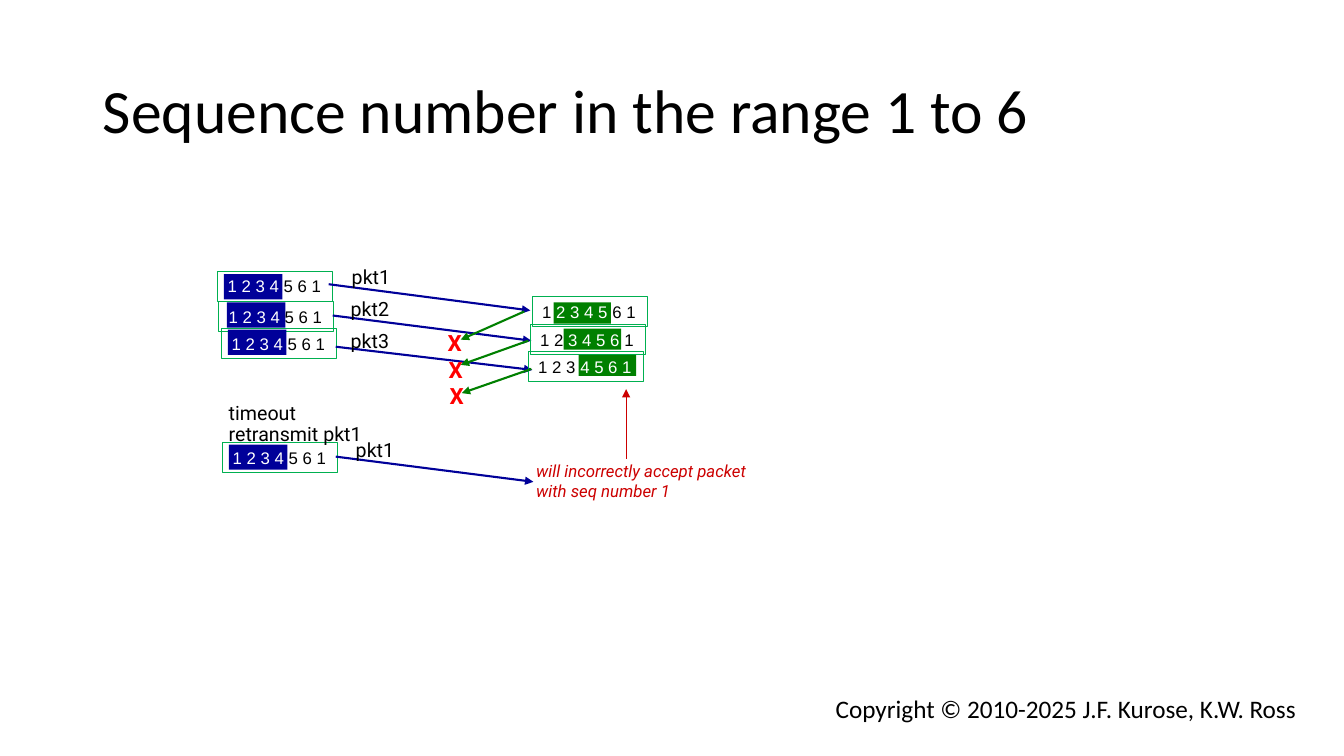
from lxml import etree
from pptx import Presentation, util as u
from pptx.dml import color
from pptx.enum import shapes, text
from pptx.oxml import ns

COLORS = {
    "black": "000000", "white": "FFFFFF", "sent": "000099", "expected": "008000",
    "frame": "00B050", "lost": "FF0000", "warning": "CC0000",
}


def rgb(name):
    return color.RGBColor.from_string(COLORS[name])


def write(paragraph, content, font="Roboto", size=14, ink="black", bold=False, italic=False):
    run = paragraph.add_run()
    run.text = content
    run.font.name, run.font.size = font, u.Pt(size)
    run.font.bold, run.font.italic = bold, italic
    run.font.color.rgb = rgb(ink)


class SequenceSlide:
    """Draws packet windows, arrows and labels on one slide."""

    def __init__(self, deck):
        self.slide = deck.slides.add_slide(deck.slide_layouts[5])

    def title(self, content, left, top, width, height):
        heading = self.slide.shapes.title
        heading.left, heading.top = u.Inches(left), u.Inches(top)
        heading.width, heading.height = u.Inches(width), u.Inches(height)
        frame = heading.text_frame
        frame.auto_size = text.MSO_AUTO_SIZE.NONE
        frame.vertical_anchor = text.MSO_ANCHOR.MIDDLE
        line = frame.paragraphs[0]
        line.alignment, line.line_spacing = text.PP_ALIGN.LEFT, 0.9
        write(line, content, font="Calibri", size=44)

    def label(self, lines, left, top, width, height, wrap=False, spacing=1.0, **style):
        box = self.slide.shapes.add_textbox(*map(u.Inches, (left, top, width, height)))
        frame = box.text_frame
        frame.word_wrap = wrap
        frame.auto_size = text.MSO_AUTO_SIZE.SHAPE_TO_FIT_TEXT
        for index, content in enumerate(lines):
            line = frame.add_paragraph() if index else frame.paragraphs[0]
            line.line_spacing = spacing
            write(line, content, **style)

    def rectangle(self, left, top, width, height, fill=None, outline=None):
        box = self.slide.shapes.add_shape(
            shapes.MSO_SHAPE.RECTANGLE, *map(u.Inches, (left, top, width, height)))
        box.shadow.inherit = False
        if fill:
            box.fill.solid()
            box.fill.fore_color.rgb = rgb(fill)
        else:
            box.fill.background()
        if outline:
            box.line.color.rgb = rgb(outline)
            box.line.width = u.Pt(0.75)
        else:
            box.line.fill.background()
        return box

    def window(self, left, top, bar, numbers, fill):
        self.rectangle(*bar, fill=fill)
        frame = self.rectangle(left, top, 1.14, 0.3, outline="frame").text_frame
        frame.word_wrap = False
        frame.auto_size = text.MSO_AUTO_SIZE.SHAPE_TO_FIT_TEXT
        frame.vertical_anchor = text.MSO_ANCHOR.TOP
        line = frame.paragraphs[0]
        line.alignment = text.PP_ALIGN.LEFT
        for content, ink in zip(numbers, ("black", "white", "black")):
            if content:
                write(line, content, font="Arial", size=12, ink=ink)

    def arrow(self, start, end, ink, width=1.5):
        link = self.slide.shapes.add_connector(
            shapes.MSO_CONNECTOR.STRAIGHT, *map(u.Inches, (*start, *end)))
        link.line.color.rgb = rgb(ink)
        link.line.width = u.Pt(width)
        etree.SubElement(link.line._get_or_add_ln(), ns.qn("a:tailEnd"), type="triangle")
        etree.SubElement(link._element.spPr, ns.qn("a:effectLst"))


def main():
    deck = Presentation()
    deck.slide_width, deck.slide_height = u.Inches(13.33), u.Inches(7.5)
    page = SequenceSlide(deck)
    page.title("Sequence number in the range 1 to 6", 0.92, 0.4, 11.5, 1.45)

    sender_windows = [
        (2.16, 2.69, 2.22, 2.72), (2.17, 2.99, 2.25, 3.0),
        (2.2, 3.26, 2.26, 3.27), (2.21, 4.39, 2.27, 4.41),
    ]
    for left, top, bar_left, bar_top in sender_windows:
        page.window(left, top, (bar_left, bar_top, 0.58, 0.25),
                    ("", "1 2 3 4 ", "5 6 1"), "sent")

    packets = [
        ("pkt1", 3.39, 2.58, (3.26, 2.82), (5.26, 3.08)),
        ("pkt2", 3.38, 2.9, (3.3, 3.13), (5.27, 3.38)),
        ("pkt3", 3.38, 3.21, (3.33, 3.44), (5.28, 3.67)),
        ("pkt1", 3.43, 4.3, (3.33, 4.53), (5.29, 4.78)),
    ]
    for packet, left, top, start, end in packets:
        page.arrow(start, end, "sent")
        page.label([packet], left, top, 0.58, 0.34)
    page.label(["timeout", "retransmit pkt1"], 2.17, 3.95, 1.52, 0.53, spacing=0.9)

    receiver_windows = [
        (5.28, 2.94, 5.49, 3.0, ("1 ", "2 3 4 5 ", "6 1")),
        (5.26, 3.22, 5.59, 3.26, ("1 2 ", "3 4 5 6", " 1")),
        (5.24, 3.49, 5.74, 3.52, ("1 2 3 ", "4 5 6 1", "")),
    ]
    for left, top, bar_left, bar_top, numbers in receiver_windows:
        page.window(left, top, (bar_left, bar_top, 0.57, 0.21), numbers, "expected")

    lost_acks = [
        ((5.2, 3.09), (4.57, 3.37)), ((5.24, 3.38), (4.57, 3.62)),
        ((5.27, 3.66), (4.58, 3.9)),
    ]
    for index, (start, end) in enumerate(lost_acks):
        page.arrow(start, end, "expected")
        page.label(["X"], 4.34 + 0.01 * index, 3.22 + 0.26 * index, 0.35, 0.37,
                   size=16, ink="lost", bold=True)

    page.label(["will incorrectly accept packet", "with seq number 1"],
               5.22, 4.52, 2.34, 0.5, size=12, ink="warning", italic=True)
    page.arrow((6.21, 4.55), (6.21, 3.86), "warning", width=0.75)
    page.label(["Copyright © 2010-2025 J.F. Kurose, K.W. Ross"],
               8.19, 6.83, 4.9, 0.4, wrap=True, font="Calibri", size=18)
    deck.save("out.pptx")


if __name__ == "__main__":
    main()
